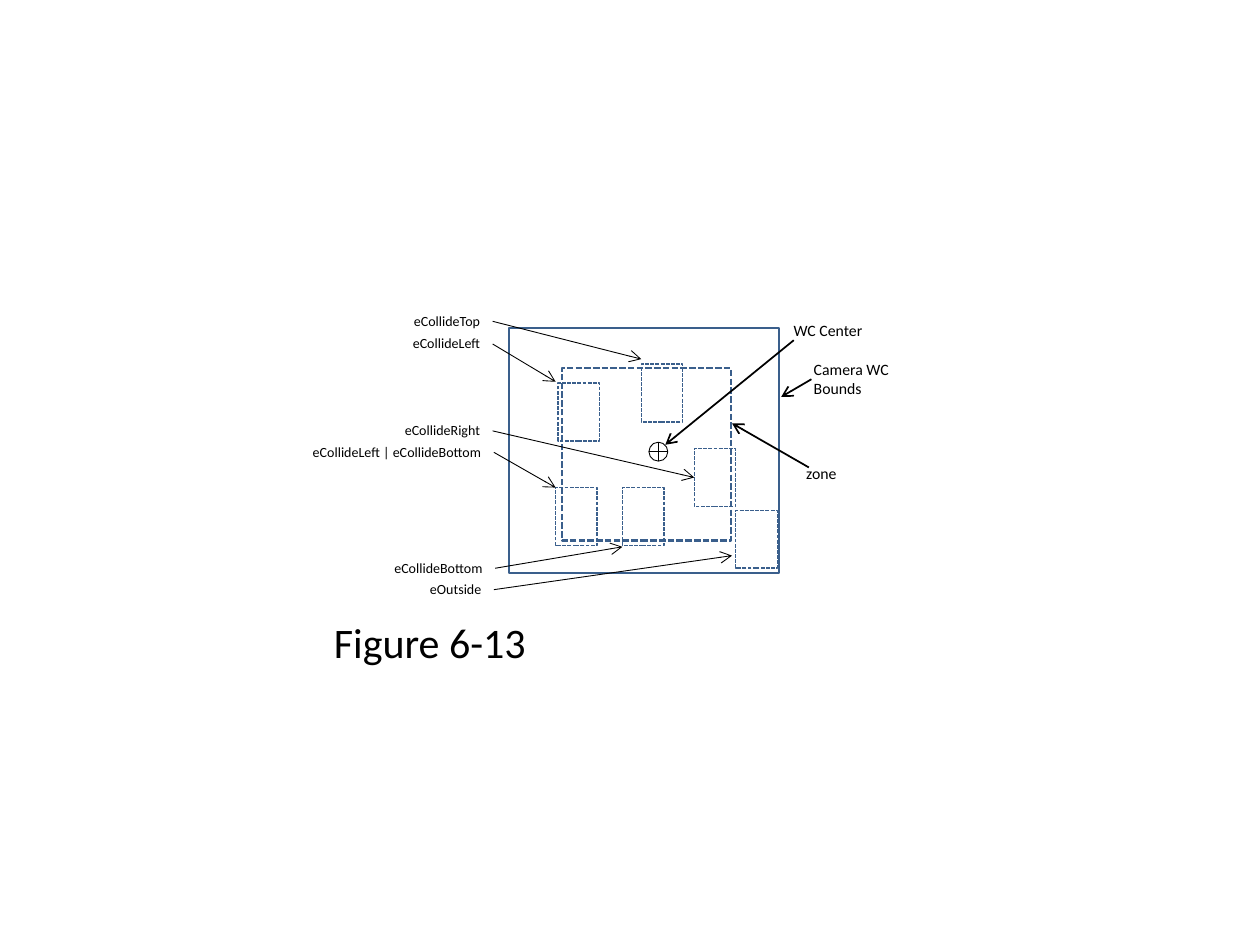
import pptx
import pptx.dml.color
import pptx.enum.dml
import pptx.enum.shapes
import pptx.enum.text
import pptx.util
from pptx.oxml.ns import qn

Inches = pptx.util.Inches
Pt = pptx.util.Pt
SHAPES = pptx.enum.shapes.MSO_SHAPE
ALIGN = pptx.enum.text.PP_ALIGN

COLOURS = {"outline": "3A5F8C", "ink": "000000"}
FONT = "Calibri"
OBJECT_SIZE = (0.33, 0.46)
LABEL_HEIGHT = 0.24
RIGHT_SIDE, LEFT_SIDE = 3, 1

# Label: left, top, width, object left, object top, arrow tip (None: object's left side)
COLLISIONS = {
    "eCollideTop": (3.06, 2.43, 0.85, 5.09, 2.89, (5.09, 2.85)),
    "eCollideLeft": (3.06, 2.61, 0.85, 4.43, 3.04, (4.41, 3.03)),
    "eCollideRight": (2.73, 3.3, 1.18, 5.51, 3.56, None),
    "eCollideLeft | eCollideBottom": (2.33, 3.47, 1.59, 4.41, 3.87, (4.41, 3.87)),
    "eCollideBottom": (2.91, 4.39, 1.02, 4.94, 3.87, (4.94, 4.34)),
    "eOutside": (3.24, 4.56, 0.68, 5.84, 4.05, (5.81, 4.41)),
}

# Label: box, arrow start, arrow tip
CALLOUTS = {
    "WC Center": ((6.2, 2.5, 0.81, 0.25), (6.3, 2.7), (5.28, 3.53)),
    "Camera WC Bounds": ((6.36, 2.81, 0.81, 0.4), (6.44, 3.01), (6.2, 3.15)),
    "zone": ((6.3, 3.63, 0.49, 0.25), (6.42, 3.71), (5.81, 3.36)),
}


def colour(name):
    return pptx.dml.color.RGBColor.from_string(COLOURS[name])


def add_outline(slide, box, width, line="outline", kind=SHAPES.RECTANGLE, dashed=False):
    shape = slide.shapes.add_shape(kind, *map(Inches, box))
    shape.shadow.inherit = False
    shape.fill.background()
    shape.line.color.rgb = colour(line)
    shape.line.width = Pt(width)
    if dashed:
        shape.line.dash_style = pptx.enum.dml.MSO_LINE.SQUARE_DOT
    return shape


def add_text(slide, box, text, size, align=ALIGN.LEFT, wrap=False):
    shape = slide.shapes.add_textbox(*map(Inches, box))
    frame = shape.text_frame
    frame.word_wrap = wrap
    frame.auto_size = pptx.enum.text.MSO_AUTO_SIZE.SHAPE_TO_FIT_TEXT
    paragraph = frame.paragraphs[0]
    paragraph.alignment = align
    run = paragraph.add_run()
    run.text = text
    run.font.name = FONT
    run.font.size = Pt(size)
    run.font.color.rgb = colour("ink")
    return shape


def add_arrow(slide, start, tip, width):
    arrow = slide.shapes.add_connector(
        pptx.enum.shapes.MSO_CONNECTOR.STRAIGHT, *map(Inches, (*start, *tip)))
    arrow.line.color.rgb = colour("ink")
    arrow.line.width = Pt(width)
    head = arrow.line._get_or_add_ln().makeelement(qn("a:tailEnd"), {"type": "arrow"})
    arrow.line._get_or_add_ln().append(head)
    properties = arrow._element.spPr
    properties.append(properties.makeelement(qn("a:effectLst"), {}))
    return arrow


def add_collision(slide, text, left, top, width, object_left, object_top, tip):
    target = add_outline(slide, (object_left, object_top, *OBJECT_SIZE), 0.75, dashed=True)
    label = add_text(slide, (left, top, width, LABEL_HEIGHT), text, 8, ALIGN.RIGHT)
    start = (left + width, top + LABEL_HEIGHT / 2)
    arrow = add_arrow(slide, start, tip or (object_left, object_top + OBJECT_SIZE[1] / 2), 0.5)
    arrow.begin_connect(label, RIGHT_SIDE)
    if tip is None:
        arrow.end_connect(target, LEFT_SIDE)


def main():
    presentation = pptx.Presentation()
    presentation.slide_width = Inches(10)
    presentation.slide_height = Inches(7.5)
    slide = presentation.slides.add_slide(presentation.slide_layouts[6])

    # Zone, camera bounds and centre mark
    add_outline(slide, (4.46, 2.92, 1.34, 1.37), 1.25, dashed=True)
    add_outline(slide, (4.04, 2.6, 2.14, 1.95), 1.25)
    add_outline(slide, (5.15, 3.51, 0.15, 0.15), 0.5, "ink", SHAPES.FLOWCHART_OR)

    # Objects with their collision status
    for text, places in COLLISIONS.items():
        add_collision(slide, text, *places)

    # Callouts on the right
    for text, (box, start, tip) in CALLOUTS.items():
        add_text(slide, box, text, 9, wrap=text.startswith("Camera"))
        add_arrow(slide, start, tip, 1)

    # Figure caption
    caption = add_text(slide, (2.65, 4.84, 3.93, 0.5), "Figure 6-13", 24, wrap=True)
    caption.text_frame.margin_left = caption.text_frame.margin_right = 0

    presentation.save("out.pptx")


if __name__ == "__main__":
    main()
